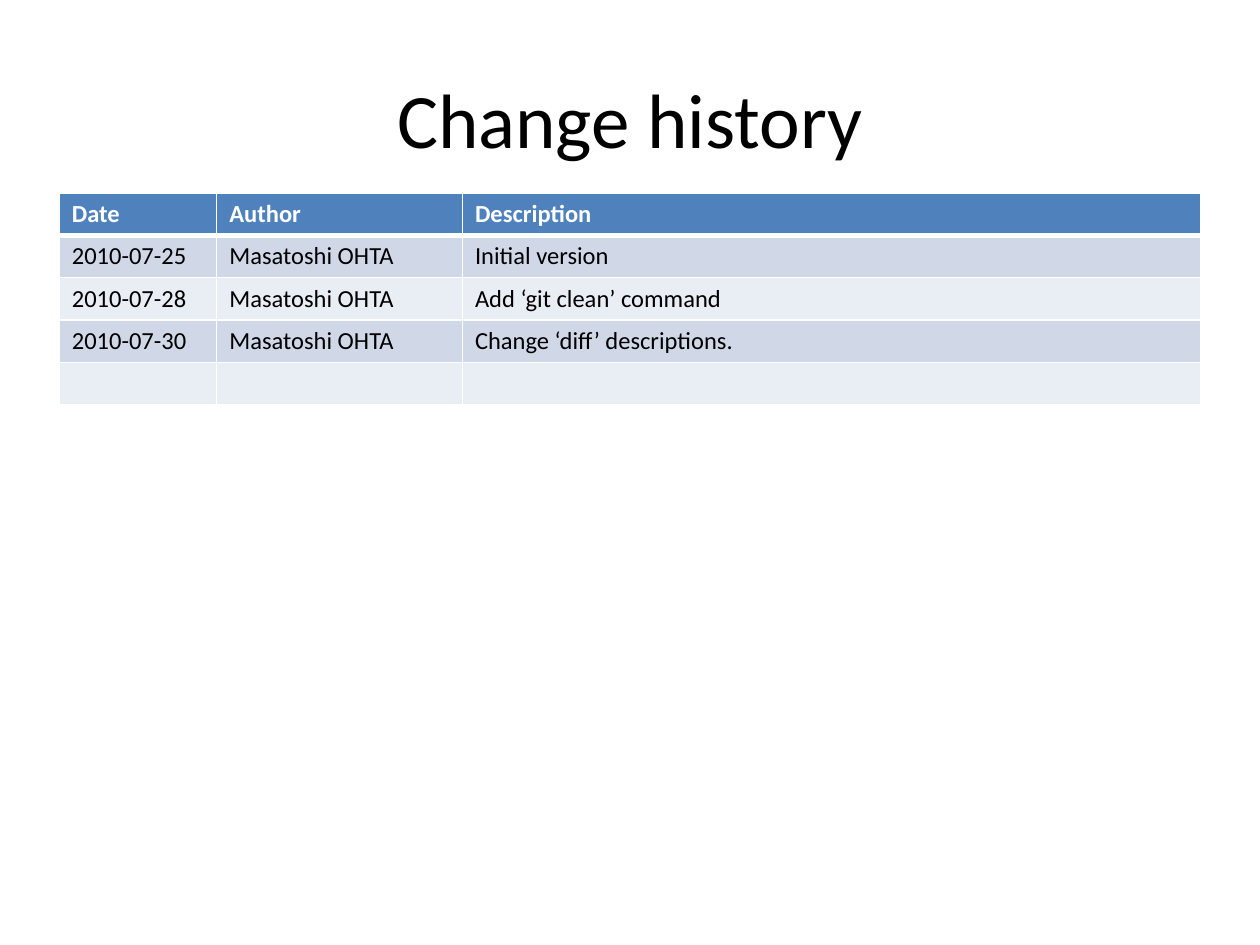
from dataclasses import dataclass

from lxml import etree
from pptx import Presentation
from pptx.dml.color import RGBColor
from pptx.enum.text import MSO_ANCHOR, PP_ALIGN
from pptx.oxml.ns import qn
from pptx.util import Inches, Pt

CENTER = PP_ALIGN.CENTER
MIDDLE = MSO_ANCHOR.MIDDLE
TITLE_ONLY = 5


@dataclass(frozen=True)
class Theme:
    font: str = "Calibri"
    title_size: int = 44
    table_size: int = 14
    text: str = "000000"
    header_text: str = "FFFFFF"
    header_fill: str = "4F81BD"
    bands: tuple = ("D0D8E8", "E9EDF4")
    border: str = "FFFFFF"
    thin: int = 1
    thick: int = 3


THEME = Theme()
WIDTH, HEIGHT = Inches(10), Inches(7.5)
TITLE_BOX = (0.05, 0.04, 0.9, 0.17)
TABLE_BOX = (0.047, 0.204, 0.906, 0.223)
COLUMN_WIDTHS = (0.125, 0.195, 0.586)
HISTORY = (
    ("Date", "Author", "Description"),
    ("2010-07-25", "Masatoshi OHTA", "Initial version"),
    ("2010-07-28", "Masatoshi OHTA", "Add ‘git clean’ command"),
    ("2010-07-30", "Masatoshi OHTA", "Change ‘diff’ descriptions."),
    ("", "", ""),
)


def place(box):
    left, top, width, height = box
    return {
        "left": round(left * WIDTH),
        "top": round(top * HEIGHT),
        "width": round(width * WIDTH),
        "height": round(height * HEIGHT),
    }


def set_attributes(target, values):
    for name, value in values.items():
        setattr(target, name, value)


def format_font(font, size, color, bold=False):
    set_attributes(font, {"name": THEME.font, "size": Pt(size), "bold": bold})
    font.color.rgb = RGBColor.from_string(color)


def add_title(slide, text):
    title = slide.shapes.title
    set_attributes(title, place(TITLE_BOX))
    set_attributes(title.text_frame, {"text": text, "vertical_anchor": MIDDLE})
    paragraph = title.text_frame.paragraphs[0]
    paragraph.alignment = CENTER
    format_font(paragraph.runs[0].font, THEME.title_size, THEME.text)


def set_borders(cell, row):
    properties = cell._tc.get_or_add_tcPr()
    widths = {
        "a:lnL": THEME.thin,
        "a:lnR": THEME.thin,
        "a:lnT": THEME.thick if row == 1 else THEME.thin,
        "a:lnB": THEME.thick if row == 0 else THEME.thin,
    }
    for tag, width in widths.items():
        line = etree.SubElement(properties, qn(tag), w=str(Pt(width)))
        fill = etree.SubElement(line, qn("a:solidFill"))
        etree.SubElement(fill, qn("a:srgbClr"), val=THEME.border)


def fill_cell(cell, text, row):
    header = row == 0
    set_borders(cell, row)
    cell.fill.solid()
    color = THEME.header_fill if header else THEME.bands[(row - 1) % 2]
    cell.fill.fore_color.rgb = RGBColor.from_string(color)
    paragraph = cell.text_frame.paragraphs[0]
    if text:
        run = paragraph.add_run()
        run.text = text
        text_color = THEME.header_text if header else THEME.text
        format_font(run.font, THEME.table_size, text_color, header)
    else:
        size = str(THEME.table_size * 100)
        etree.SubElement(paragraph._p, qn("a:endParaRPr"), sz=size)


def add_history_table(slide, records):
    frame = slide.shapes.add_table(
        len(records), len(COLUMN_WIDTHS), **place(TABLE_BOX)
    )
    table = frame.table
    for column, share in zip(table.columns, COLUMN_WIDTHS):
        column.width = round(share * WIDTH)
    for row, record in enumerate(records):
        for column, text in enumerate(record):
            fill_cell(table.cell(row, column), text, row)


def main():
    presentation = Presentation()
    set_attributes(presentation, {"slide_width": WIDTH, "slide_height": HEIGHT})
    slide = presentation.slides.add_slide(presentation.slide_layouts[TITLE_ONLY])
    add_title(slide, "Change history")
    add_history_table(slide, HISTORY)
    presentation.save("out.pptx")


main()
